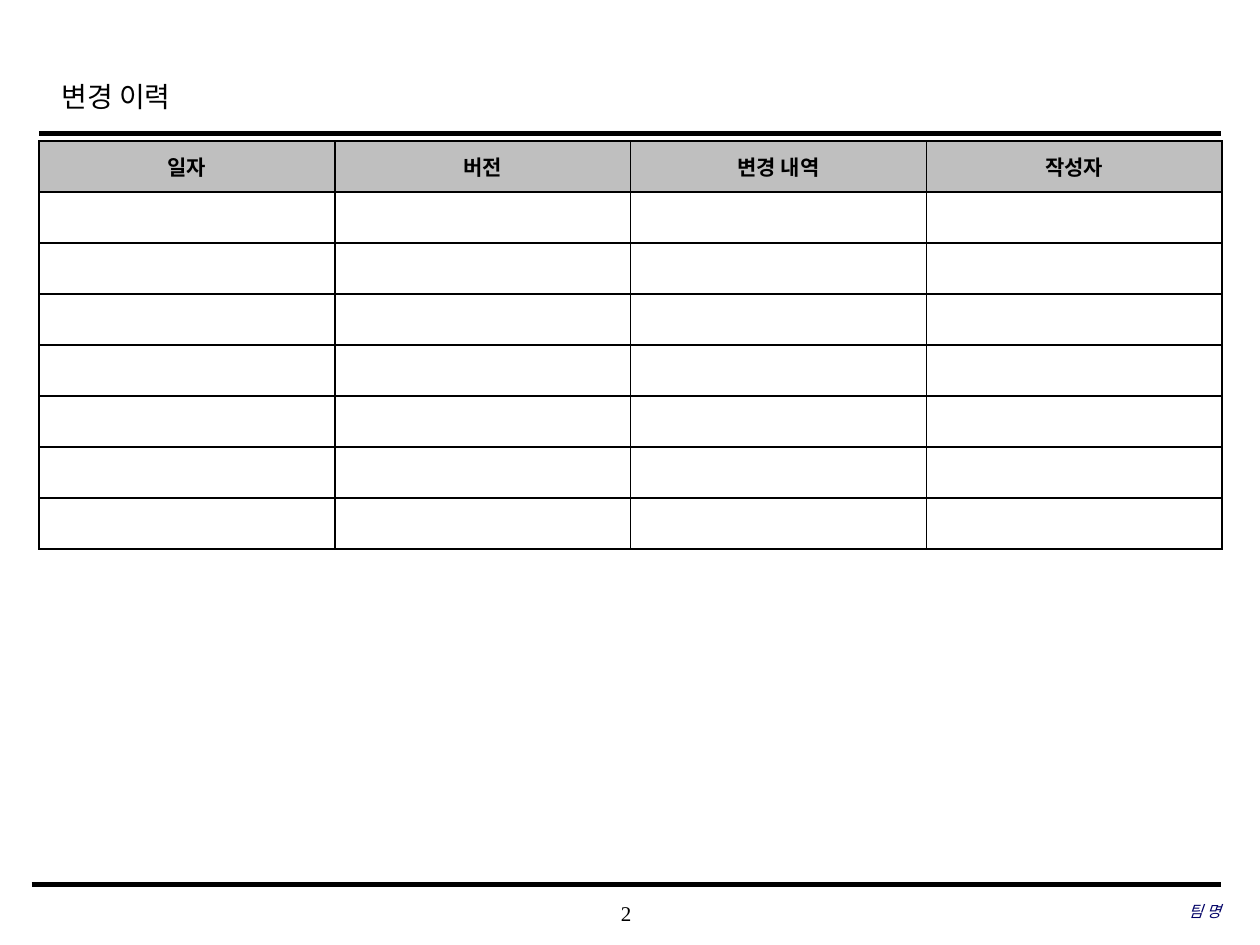
from dataclasses import dataclass

from lxml import etree
from pptx import Presentation
from pptx.dml.color import RGBColor
from pptx.enum.shapes import MSO_CONNECTOR
from pptx.enum.text import MSO_ANCHOR, PP_ALIGN
from pptx.oxml import parse_xml
from pptx.oxml.ns import nsdecls, qn
from pptx.util import Inches, Pt

BLACK = RGBColor(0x00, 0x00, 0x00)
WHITE = RGBColor(0xFF, 0xFF, 0xFF)
HEADER_GRAY = RGBColor(0xBF, 0xBF, 0xBF)
NAVY = RGBColor(0x00, 0x00, 0x66)
LEFT, CENTER, RIGHT = PP_ALIGN.LEFT, PP_ALIGN.CENTER, PP_ALIGN.RIGHT
MIDDLE = MSO_ANCHOR.MIDDLE
STRAIGHT = MSO_CONNECTOR.STRAIGHT
SERIF = "Times New Roman"
SANS = "Noto Sans CJK KR"
HEADINGS = ("일자", "버전", "변경 내역", "작성자")
ROW_COUNT = 8
BORDER_SIDES = ("lnL", "lnR", "lnT", "lnB")


@dataclass(frozen=True)
class Rule:
    left: float
    right: float
    y: float
    weight: float


@dataclass(frozen=True)
class Label:
    text: str
    left: float
    top: float
    width: float
    height: float
    size: float
    align: PP_ALIGN
    color: RGBColor = BLACK
    italic: bool = False
    inset_x: float = 0
    inset_y: float = 0
    line_spacing: float = 1.0


RULES = (Rule(0.31, 9.69, 1.06, 2.5), Rule(0.25, 9.69, 7.02, 3))
LABELS = (
    Label("2", 3.93, 7.08, 2.08, 0.33, 12, CENTER),
    Label("변경 이력", 0.39, 0.49, 7.55, 0.5, 16, LEFT,
          inset_x=0.1, inset_y=0.05, line_spacing=1.2),
    Label("팀 명", 6.63, 7.07, 3.06, 0.33, 9, RIGHT, NAVY, italic=True),
)


def draw_rule(slide, rule: Rule) -> None:
    line = slide.shapes.add_connector(
        STRAIGHT, Inches(rule.left), Inches(rule.y), Inches(rule.right), Inches(rule.y))
    line.line.color.rgb = BLACK
    line.line.width = Pt(rule.weight)
    etree.SubElement(line._element.spPr, qn("a:effectLst"))


def draw_label(slide, label: Label) -> None:
    box = slide.shapes.add_textbox(
        Inches(label.left), Inches(label.top), Inches(label.width), Inches(label.height))
    frame = box.text_frame
    frame.word_wrap = True
    frame.vertical_anchor = MIDDLE
    frame.margin_left = frame.margin_right = Inches(label.inset_x)
    frame.margin_top = frame.margin_bottom = Inches(label.inset_y)
    paragraph = frame.paragraphs[0]
    paragraph.text = label.text
    paragraph.alignment = label.align
    paragraph.line_spacing = label.line_spacing
    font = paragraph.font
    font.name, font.size, font.italic = SERIF, Pt(label.size), label.italic
    font.color.rgb = label.color


def style_cell(cell, fill: RGBColor) -> None:
    cell.vertical_anchor = MIDDLE
    properties = cell._tc.get_or_add_tcPr()
    for side in BORDER_SIDES:
        properties.append(parse_xml(
            f'<a:{side} {nsdecls("a")} w="{Pt(1)}"><a:solidFill>'
            f'<a:srgbClr val="{BLACK}"/></a:solidFill></a:{side}>'))
    cell.fill.solid()
    cell.fill.fore_color.rgb = fill
    paragraph = cell.text_frame.paragraphs[0]
    paragraph.alignment = CENTER
    font = paragraph.font
    font.name, font.size, font.bold = SANS, Pt(12), True
    font.color.rgb = BLACK


def draw_history(slide) -> None:
    history = slide.shapes.add_table(
        ROW_COUNT, len(HEADINGS), Inches(0.31), Inches(1.12), Inches(9.39), Inches(3.24)).table
    for column, heading in enumerate(HEADINGS):
        history.cell(0, column).text = heading
    for row_index, row in enumerate(history.rows):
        for cell in row.cells:
            style_cell(cell, HEADER_GRAY if row_index == 0 else WHITE)


presentation = Presentation()
presentation.slide_width = Inches(10)
presentation.slide_height = Inches(7.5)
slide = presentation.slides.add_slide(presentation.slide_layouts[6])
for rule in RULES:
    draw_rule(slide, rule)
for label in LABELS:
    draw_label(slide, label)
draw_history(slide)
presentation.save("out.pptx")
